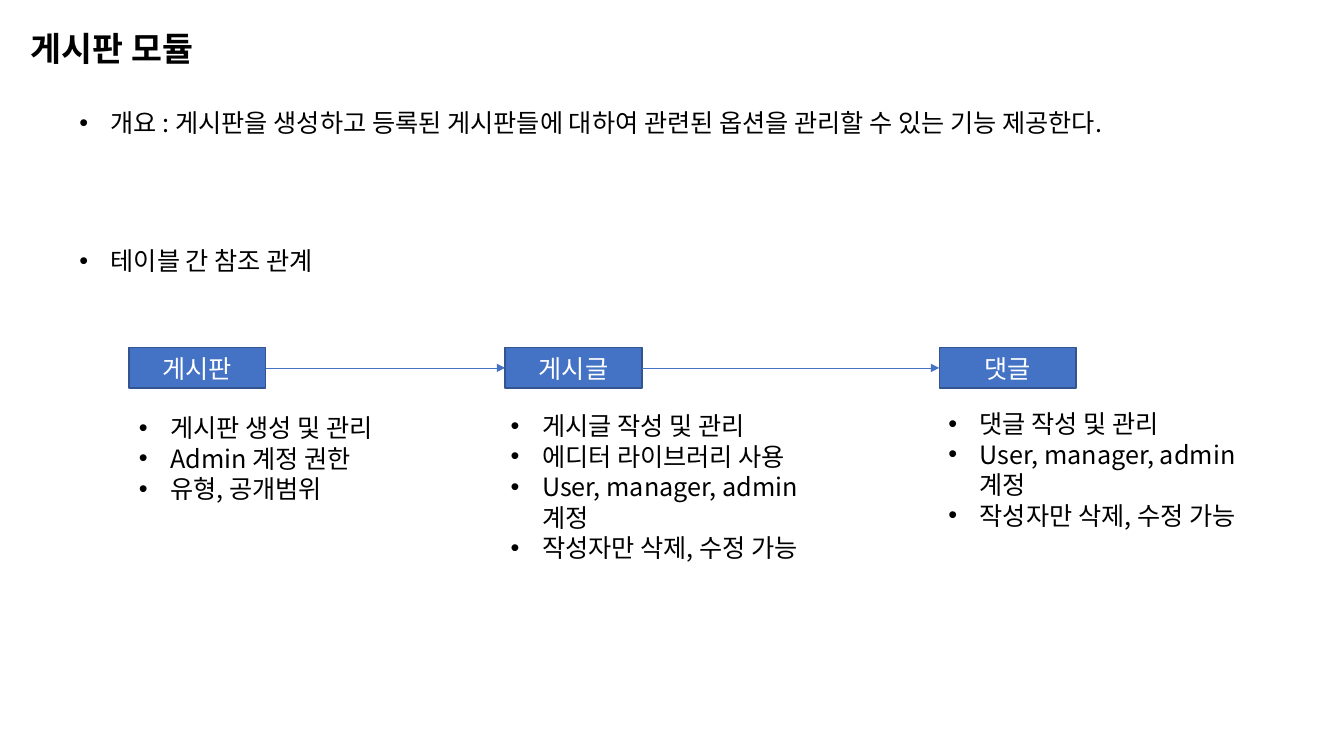
from dataclasses import dataclass

from lxml import etree
from pptx import Presentation
from pptx.dml.color import RGBColor
from pptx.enum.shapes import MSO_CONNECTOR, MSO_SHAPE
from pptx.enum.text import MSO_ANCHOR, PP_ALIGN
from pptx.oxml.ns import qn
from pptx.util import Cm, Pt

RECT = MSO_SHAPE.RECTANGLE
STRAIGHT = MSO_CONNECTOR.STRAIGHT
MIDDLE = MSO_ANCHOR.MIDDLE
CENTER = PP_ALIGN.CENTER
LEFT = PP_ALIGN.LEFT


@dataclass(frozen=True)
class Theme:
    """Colours, font and type sizes of the slide."""
    font: str = "Noto Sans CJK KR"
    title: int = 24
    body: int = 18
    leading: float = 1.21
    indent: float = 0.79
    text: RGBColor = RGBColor(0x00, 0x00, 0x00)
    on_fill: RGBColor = RGBColor(0xFF, 0xFF, 0xFF)
    fill: RGBColor = RGBColor(0x44, 0x72, 0xC4)
    border: RGBColor = RGBColor(0x32, 0x54, 0x91)


THEME = Theme()

TABLES = [
    ("게시판", 3.25, (3.25, 10.26, 7.14, 2.57),
     ["게시판 생성 및 관리", "Admin 계정 권한", "유형, 공개범위"]),
    ("게시글", 12.73, (12.62, 10.21, 8.4, 4.1),
     ["게시글 작성 및 관리", "에디터 라이브러리 사용",
      "User, manager, admin 계정", "작성자만 삭제, 수정 가능"]),
    ("댓글", 23.67, (23.65, 10.16, 8.4, 3.33),
     ["댓글 작성 및 관리", "User, manager, admin 계정", "작성자만 삭제, 수정 가능"]),
]


def style_paragraph(p, size, color, bold=False, align=LEFT):
    """Format a paragraph and its runs."""
    p.alignment = align
    p.line_spacing = Pt(round(size * THEME.leading, 1))
    for r in p.runs:
        r.font.name = THEME.font
        r.font.size = Pt(size)
        r.font.bold = bold
        r.font.color.rgb = color
        ea = etree.SubElement(r.font._element, qn("a:ea"))
        ea.set("typeface", THEME.font)


def add_bullet(p):
    """Give a paragraph a hanging bullet."""
    pPr = p._p.get_or_add_pPr()
    pPr.set("marL", str(Cm(THEME.indent)))
    pPr.set("indent", str(-Cm(THEME.indent)))
    etree.SubElement(pPr, qn("a:buFont")).set("typeface", "Arial")
    etree.SubElement(pPr, qn("a:buChar")).set("char", "•")


def add_text(slide, box, lines, size=THEME.body, bold=False, bullets=True):
    """Place lines of text in a box, bulleted by default."""
    tf = slide.shapes.add_textbox(*map(Cm, box)).text_frame
    tf.word_wrap = True
    tf.text = "\n".join(lines)
    for p in tf.paragraphs:
        style_paragraph(p, size, THEME.text, bold)
        if bullets:
            add_bullet(p)


def add_table_box(slide, box, name):
    """Place a filled rectangle that names a database table."""
    sp = slide.shapes.add_shape(RECT, *map(Cm, box))
    sp.shadow.inherit = False
    sp.fill.solid()
    sp.fill.fore_color.rgb = THEME.fill
    sp.line.color.rgb = THEME.border
    sp.line.width = Pt(1)
    tf = sp.text_frame
    tf.vertical_anchor = MIDDLE
    tf.text = name
    style_paragraph(tf.paragraphs[0], THEME.body, THEME.on_fill, align=CENTER)
    return sp


def add_arrow(slide, source, target):
    """Join two boxes, right side to left side, with an arrow."""
    arrow = slide.shapes.add_connector(STRAIGHT, 0, 0, 0, 0)
    arrow.begin_connect(source, 3)
    arrow.end_connect(target, 1)
    arrow.line.color.rgb = THEME.fill
    arrow.line.width = Pt(0.5)
    etree.SubElement(arrow.line._get_or_add_ln(), qn("a:tailEnd")).set("type", "triangle")
    etree.SubElement(arrow._element.spPr, qn("a:effectLst"))


def add_relations(slide, top, width, height):
    """Draw the row of tables with their arrows and notes."""
    boxes = []
    for name, left, notes_box, notes in TABLES:
        boxes.append(add_table_box(slide, (left, top, width, height), name))
        add_text(slide, notes_box, notes)
    for source, target in zip(boxes, boxes[1:]):
        add_arrow(slide, source, target)


def build_module_slide(prs):
    """Build the board module slide."""
    slide = prs.slides.add_slide(prs.slide_layouts[6])
    add_text(slide, (0.53, 0.58, 5.08, 1.27), ["게시판 모듈"],
             THEME.title, bold=True, bullets=False)
    add_text(slide, (1.75, 2.57, 29.41, 1.02),
             ["개요 : 게시판을 생성하고 등록된 게시판들에 대하여 관련된 옵션을 관리할 수 있는 기능 제공한다."])
    add_text(slide, (1.75, 6.05, 7.14, 1.02), ["테이블 간 참조 관계"])
    add_relations(slide, 8.76, 3.45, 1.02)


def main():
    """Create and save the presentation."""
    prs = Presentation()
    prs.slide_width = Cm(33.87)
    prs.slide_height = Cm(19.05)
    build_module_slide(prs)
    prs.save("out.pptx")


if __name__ == "__main__":
    main()
